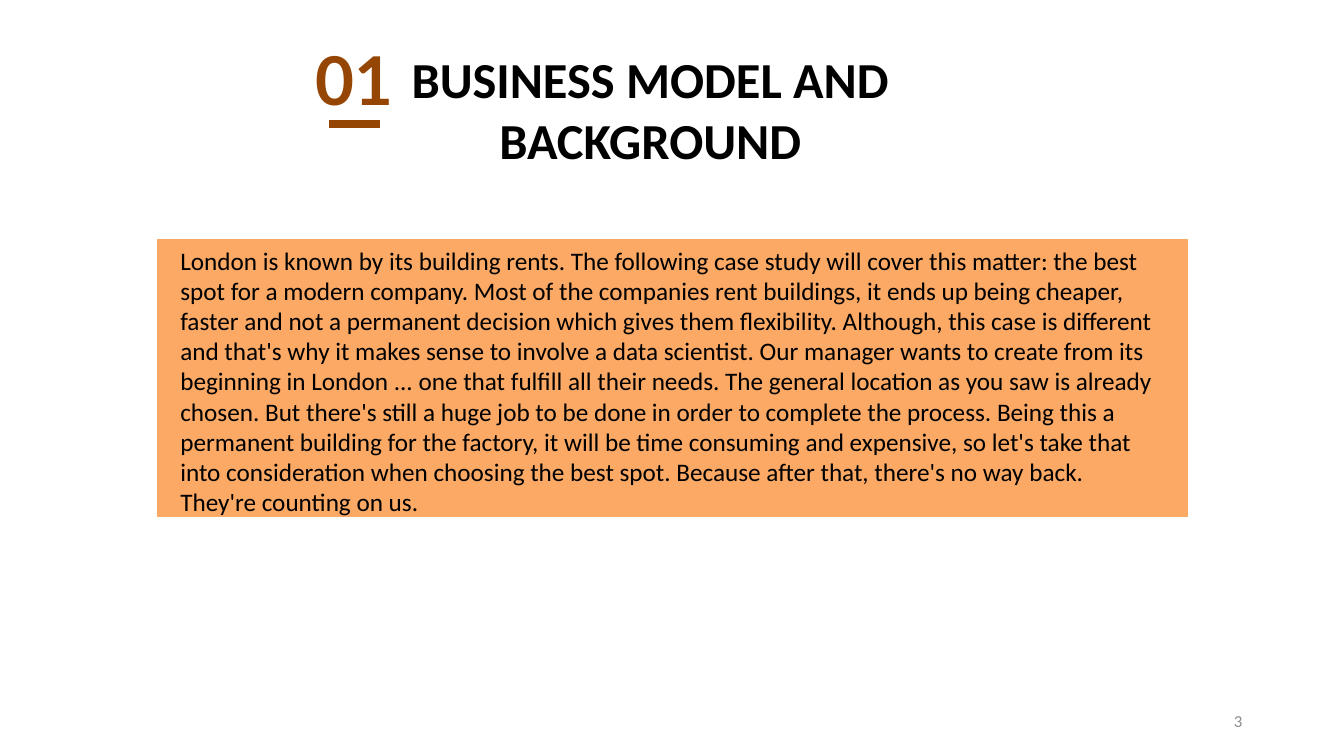
from lxml import etree
from pptx import Presentation
from pptx.dml.color import RGBColor
from pptx.enum.shapes import MSO_CONNECTOR as CONNECTOR, MSO_SHAPE as SHAPE
from pptx.enum.text import MSO_ANCHOR as ANCHOR, MSO_AUTO_SIZE as AUTO, PP_ALIGN as ALIGN
from pptx.oxml.ns import qn
from pptx.util import Inches, Pt

COLORS = {"ink": "000000", "accent": "964604", "panel": "FBA965", "muted": "8C8C8C"}

BACKGROUND = (
    "London is known by its building rents. The following case study will cover this "
    "matter: the best spot for a modern company. Most of the companies rent buildings, "
    "it ends up being cheaper, faster and not a permanent decision which gives them "
    "flexibility. Although, this case is different and that's why it makes sense to "
    "involve a data scientist. Our manager wants to create from its beginning in London "
    "... one that fulfill all their needs. The general location as you saw is already "
    "chosen. But there's still a huge job to be done in order to complete the process. "
    "Being this a permanent building for the factory, it will be time consuming and "
    "expensive, so let's take that into consideration when choosing the best spot. "
    "Because after that, there's no way back. They're counting on us."
)


def color(name):
    return RGBColor.from_string(COLORS[name])


def write(shape, text, ink, align=ALIGN.LEFT, anchor=ANCHOR.TOP, wrap=True, **font_format):
    """Fill a shape with one formatted paragraph."""
    frame = shape.text_frame
    frame.text = text
    frame_format = {"word_wrap": wrap, "auto_size": AUTO.NONE, "vertical_anchor": anchor}
    for key, value in frame_format.items():
        setattr(frame, key, value)
    paragraph = frame.paragraphs[0]
    paragraph.alignment = align
    font = paragraph.runs[0].font
    for key, value in font_format.items():
        setattr(font, key, value)
    font.color.rgb = color(ink)


def add_text(slide, box, text, ink, **text_format):
    write(slide.shapes.add_textbox(*map(Inches, box)), text, ink, **text_format)


def add_heading(slide, left, top, width, height):
    """Place the section number, its underline and the title."""
    title = slide.shapes.title
    number_width = 0.98
    title_left, title_top = left + 0.23, top + 0.1
    title_box = {"left": title_left, "top": title_top,
                 "width": left + width - title_left, "height": top + height - title_top}
    for side, length in title_box.items():
        setattr(title, side, Inches(length))
    write(title, "BUSINESS MODEL AND BACKGROUND", "ink", align=ALIGN.CENTER,
          name="Calibri", size=Pt(36), bold=True)

    add_text(slide, (left, top, number_width, 0.91), "01", "accent", wrap=False,
             name="Lato", size=Pt(48), bold=True)

    line_y = top + 0.9
    underline = slide.shapes.add_connector(
        CONNECTOR.STRAIGHT, Inches(title_left), Inches(line_y),
        Inches(title_left + 0.51), Inches(line_y))
    underline.line.color.rgb = color("accent")
    underline.line.width = Pt(6)
    etree.SubElement(underline._element.spPr, qn("a:effectLst"))


def add_background_panel(slide, left, top, width, height):
    panel = slide.shapes.add_shape(SHAPE.RECTANGLE, *map(Inches, (left, top, width, height)))
    panel.shadow.inherit = False
    panel.fill.solid()
    panel.fill.fore_color.rgb = color("panel")
    panel.line.color.rgb = color("panel")
    panel.line.width = Pt(1)
    add_text(slide, (left + 0.13, top, width - 0.32, 3.13), BACKGROUND, "ink",
             name="Calibri", size=Pt(18))


def add_page_number(slide, left, top, width, height):
    add_text(slide, (left, top, width, height), "3", "muted", align=ALIGN.RIGHT,
             anchor=ANCHOR.MIDDLE, name="Calibri", size=Pt(12))


def main():
    deck = Presentation()
    deck.slide_width, deck.slide_height = Inches(13.33), Inches(7.5)
    slide = deck.slides.add_slide(deck.slide_layouts.get_by_name("Title Only"))
    add_heading(slide, 3.03, 0.33, 6.61, 1.41)
    add_background_panel(slide, 1.56, 2.38, 10.22, 2.74)
    add_page_number(slide, 9.42, 6.95, 3, 0.4)
    deck.save("out.pptx")


if __name__ == "__main__":
    main()
